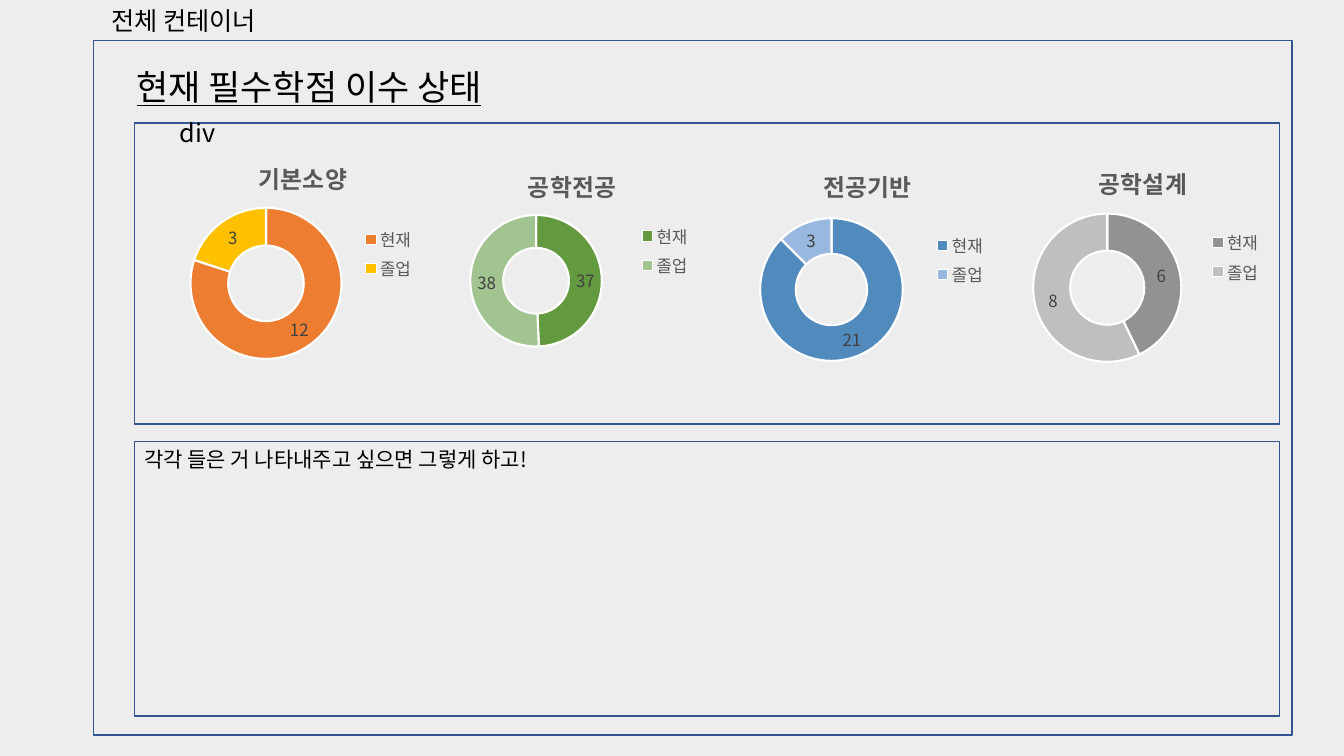
"""Build the slide that shows the required credits as four doughnut charts."""
from dataclasses import dataclass

from lxml import etree
from pptx import Presentation
from pptx.chart.data import CategoryChartData
from pptx.dml.color import RGBColor
from pptx.enum.chart import XL_CHART_TYPE, XL_LEGEND_POSITION
from pptx.enum.shapes import MSO_SHAPE
from pptx.enum.text import MSO_AUTO_SIZE
from pptx.oxml.ns import qn
from pptx.slide import Slide
from pptx.text.text import Font
from pptx.util import Pt

DOUGHNUT = XL_CHART_TYPE.DOUGHNUT
LEGEND_RIGHT = XL_LEGEND_POSITION.RIGHT
RECTANGLE = MSO_SHAPE.RECTANGLE
GROW = MSO_AUTO_SIZE.SHAPE_TO_FIT_TEXT


@dataclass(frozen=True)
class Theme:
    font: str = "Noto Sans CJK KR"
    background: str = "EDEDED"
    frame: str = "325491"
    text: str = "000000"
    chart_text: str = "595959"
    label: str = "404040"
    separator: str = "FFFFFF"
    heading_size: float = 25
    caption_size: float = 18
    note_size: float = 15
    chart_title_size: float = 17
    chart_size: float = 12


@dataclass(frozen=True)
class Box:
    left: float
    top: float
    width: float
    height: float


@dataclass(frozen=True)
class Caption:
    text: str
    box: Box
    size: float
    underline: bool = False


@dataclass(frozen=True)
class CreditChart:
    title: str
    box: Box
    values: tuple[int, int]
    colors: tuple[str, str]
    ring: Box


THEME = Theme()
CATEGORIES = ("현재", "졸업")
HOLE_PERCENT = 41
TITLE_WIDTH = 63
TITLE_TOP = 13.5

FRAMES = (
    Box(67, 29, 856, 496),
    Box(96, 88, 818, 215),
    Box(96, 315.5, 818, 196),
)

CAPTIONS = (
    Caption("전체 컨테이너", Box(72.5, 0, 132.5, 29), THEME.caption_size),
    Caption("현재 필수학점 이수 상태", Box(90.5, 43, 308, 37.5), THEME.heading_size, True),
    Caption("div", Box(121.5, 80.5, 83, 29), THEME.caption_size),
    Caption("각각 들은 거 나타내주고 싶으면 그렇게 하고!", Box(96, 315.5, 320, 25), THEME.note_size),
)

CHARTS = (
    CreditChart("기본소양", Box(121.5, 96, 182, 170.5), (12, 3),
                ("ED7D31", "FFC000"), Box(136, 148.5, 108, 108)),
    CreditChart("공학전공", Box(311.5, 101, 189.5, 156), (37, 38),
                ("639A3F", "A1C490"), Box(336, 153.5, 94, 94)),
    CreditChart("전공기반", Box(522.5, 101.5, 189.5, 168.5), (21, 3),
                ("518ABD", "98B8E0"), Box(543, 156, 102, 102)),
    CreditChart("공학설계", Box(719, 99.5, 189.5, 168.5), (6, 8),
                ("929292", "BFBFBF"), Box(738, 152.5, 106, 106)),
)


def style_font(font: Font, size: float, color: str, bold: bool = False) -> None:
    """Set size, colour and the typeface for Latin and Korean text."""
    font.size = Pt(size)
    font.bold = bold
    font.color.rgb = RGBColor.from_string(color)
    font.name = THEME.font
    etree.SubElement(font._element, qn("a:ea")).set("typeface", THEME.font)


def set_layout(parent: etree._Element, index: int, settings: dict[str, object]) -> None:
    """Give a chart part a manual layout."""
    for old_layout in parent.findall(qn("c:layout")):
        parent.remove(old_layout)
    layout = etree.Element(qn("c:layout"))
    manual = etree.SubElement(layout, qn("c:manualLayout"))
    for name, value in settings.items():
        etree.SubElement(manual, qn(f"c:{name}")).set("val", str(value))
    parent.insert(index, layout)


def add_frame(slide: Slide, box: Box) -> None:
    """Draw an unfilled rectangle."""
    shape = slide.shapes.add_shape(
        RECTANGLE, Pt(box.left), Pt(box.top), Pt(box.width), Pt(box.height))
    shape.shadow.inherit = False
    shape.fill.background()
    shape.line.color.rgb = RGBColor.from_string(THEME.frame)
    shape.line.width = Pt(1)


def add_caption(slide: Slide, caption: Caption) -> None:
    """Draw one line of text."""
    box = caption.box
    shape = slide.shapes.add_textbox(
        Pt(box.left), Pt(box.top), Pt(box.width), Pt(box.height))
    text_frame = shape.text_frame
    text_frame.word_wrap = True
    text_frame.auto_size = GROW
    text_frame.text = caption.text
    font = text_frame.paragraphs[0].runs[0].font
    style_font(font, caption.size, THEME.text)
    if caption.underline:
        font.underline = True


def add_credit_chart(slide: Slide, credit: CreditChart) -> None:
    """Draw a doughnut with its title, legend and value labels."""
    box, ring = credit.box, credit.ring
    data = CategoryChartData()
    data.categories = CATEGORIES
    data.add_series("Series 1", credit.values)
    chart = slide.shapes.add_chart(
        DOUGHNUT, Pt(box.left), Pt(box.top), Pt(box.width), Pt(box.height), data).chart
    style_font(chart.font, THEME.chart_size, THEME.chart_text)

    chart.has_title = True
    title = chart.chart_title
    title.text_frame.text = credit.title
    style_font(title.text_frame.paragraphs[0].runs[0].font,
               THEME.chart_title_size, THEME.chart_text, bold=True)
    set_layout(title._element, 1, {
        "xMode": "edge", "yMode": "edge",
        "x": round((box.width - TITLE_WIDTH) / 2 / box.width, 2),
        "y": round(TITLE_TOP / box.height, 2),
    })

    chart.has_legend = True
    chart.legend.position = LEGEND_RIGHT
    chart.legend.include_in_layout = False
    style_font(chart.legend.font, THEME.chart_size, THEME.chart_text)

    plot = chart.plots[0]
    plot.vary_by_categories = True
    plot._element.find(qn("c:holeSize")).set("val", str(HOLE_PERCENT))
    set_layout(plot._element.getparent(), 0, {
        "layoutTarget": "inner", "xMode": "edge", "yMode": "edge",
        "x": round((ring.left - box.left) / box.width, 3),
        "y": round((ring.top - box.top) / box.height, 3),
        "w": round(ring.width / box.width, 3),
        "h": round(ring.height / box.height, 3),
    })
    series = plot.series[0]
    for index, color in enumerate(credit.colors):
        point_format = series.points[index].format
        point_format.fill.solid()
        point_format.fill.fore_color.rgb = RGBColor.from_string(color)
        point_format.line.color.rgb = RGBColor.from_string(THEME.separator)
        point_format.line.width = Pt(1.5)
    labels = series.data_labels
    labels.show_value = True
    labels.show_percentage = False
    style_font(labels.font, THEME.chart_size, THEME.label)


def main() -> None:
    """Assemble and save the presentation."""
    presentation = Presentation()
    presentation.slide_width = Pt(960)
    presentation.slide_height = Pt(540)
    slide = presentation.slides.add_slide(presentation.slide_layouts[6])
    slide.background.fill.solid()
    slide.background.fill.fore_color.rgb = RGBColor.from_string(THEME.background)
    for credit in CHARTS:
        add_credit_chart(slide, credit)
    for frame in FRAMES:
        add_frame(slide, frame)
    for caption in CAPTIONS:
        add_caption(slide, caption)
    presentation.save("out.pptx")


if __name__ == "__main__":
    main()
